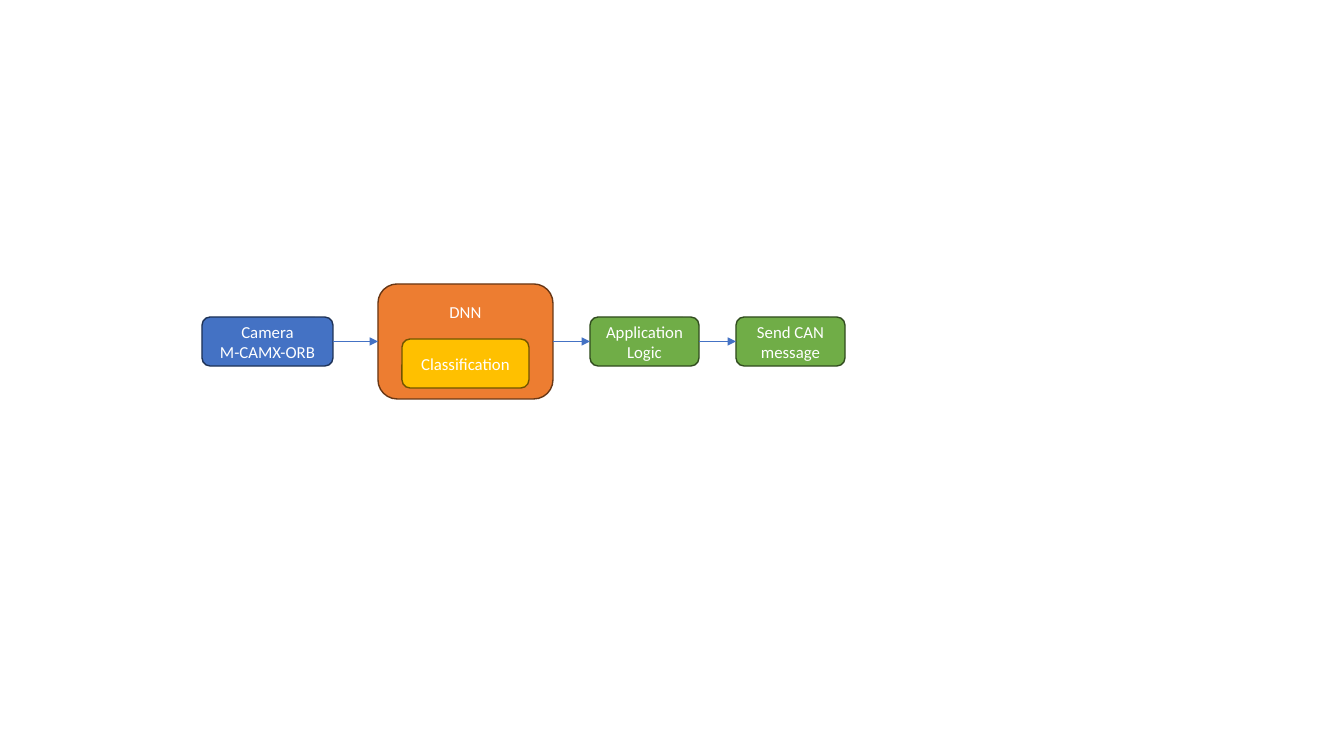
import pptx
import pptx.util
import pptx.oxml
import pptx.oxml.ns
import pptx.dml.color
import pptx.enum.shapes
import pptx.enum.text

PX = 914400 / 100.8
WIDE, HIGH = 1344, 756
MID = 341.5
STEP = 49

COLORS = {
    "blue": "4472C4", "navy": "1E3256",
    "orange": "ED7D31", "brown": "683715",
    "green": "70AD47", "forest": "314C1F",
    "gold": "FFC000", "olive": "705400",
    "white": "FFFFFF",
}

STAGES = [
    ("Camera\nM-CAMX-ORB", 202, 131, STEP, "blue", "navy"),
    ("DNN", 378, 175, 115, "orange", "brown"),
    ("Application Logic", 590, 109, STEP, "green", "forest"),
    ("Send CAN message", 736, 109, STEP, "green", "forest"),
]
INNER = ("Classification", 402, 339, 127, STEP, "gold", "olive")


def emu(px):
    return pptx.util.Emu(round(px * PX))


def color(name):
    return pptx.dml.color.RGBColor.from_string(COLORS[name])


def add_box(slide, text, left, top, width, height, fill, edge):
    kind = pptx.enum.shapes.MSO_SHAPE.FLOWCHART_ALTERNATE_PROCESS
    box = slide.shapes.add_shape(kind, emu(left), emu(top), emu(width), emu(height))
    box.shadow.inherit = False
    box.fill.solid()
    box.fill.fore_color.rgb = color(fill)
    box.line.color.rgb = color(edge)
    box.line.width = pptx.util.Pt(1)
    frame = box.text_frame
    frame.word_wrap = True
    frame.vertical_anchor = pptx.enum.text.MSO_ANCHOR.MIDDLE
    frame.text = text
    for para in frame.paragraphs:
        para.alignment = pptx.enum.text.PP_ALIGN.CENTER
        para.font.size = pptx.util.Pt(12)
        para.font.name = "Calibri"
        para.font.color.rgb = color("white")
    return box


def add_arrow(slide, start, end):
    kind = pptx.enum.shapes.MSO_CONNECTOR.STRAIGHT
    arrow = slide.shapes.add_connector(kind, 0, 0, 0, 0)
    arrow.begin_connect(start, 3)
    arrow.end_connect(end, 1)
    arrow.line.color.rgb = color("blue")
    arrow.line.width = pptx.util.Pt(0.5)
    props = arrow.line._get_or_add_ln()
    tail = pptx.oxml.ns.qn("a:tailEnd")
    props.append(props.makeelement(tail, {"type": "triangle"}))
    shape = arrow._element.spPr
    shape.append(shape.makeelement(pptx.oxml.ns.qn("a:effectLst"), {}))


def main():
    deck = pptx.Presentation()
    deck.slide_width, deck.slide_height = emu(WIDE), emu(HIGH)
    slide = deck.slides.add_slide(deck.slide_layouts[6])

    boxes = [
        add_box(slide, text, left, MID - height / 2, width, height, fill, edge)
        for text, left, width, height, fill, edge in STAGES
    ]
    network = boxes[1].text_frame
    network.vertical_anchor = pptx.enum.text.MSO_ANCHOR.TOP
    network.margin_top = emu(12)
    add_box(slide, *INNER)

    for start, end in zip(boxes, boxes[1:]):
        add_arrow(slide, start, end)

    deck.save("out.pptx")


if __name__ == "__main__":
    main()
